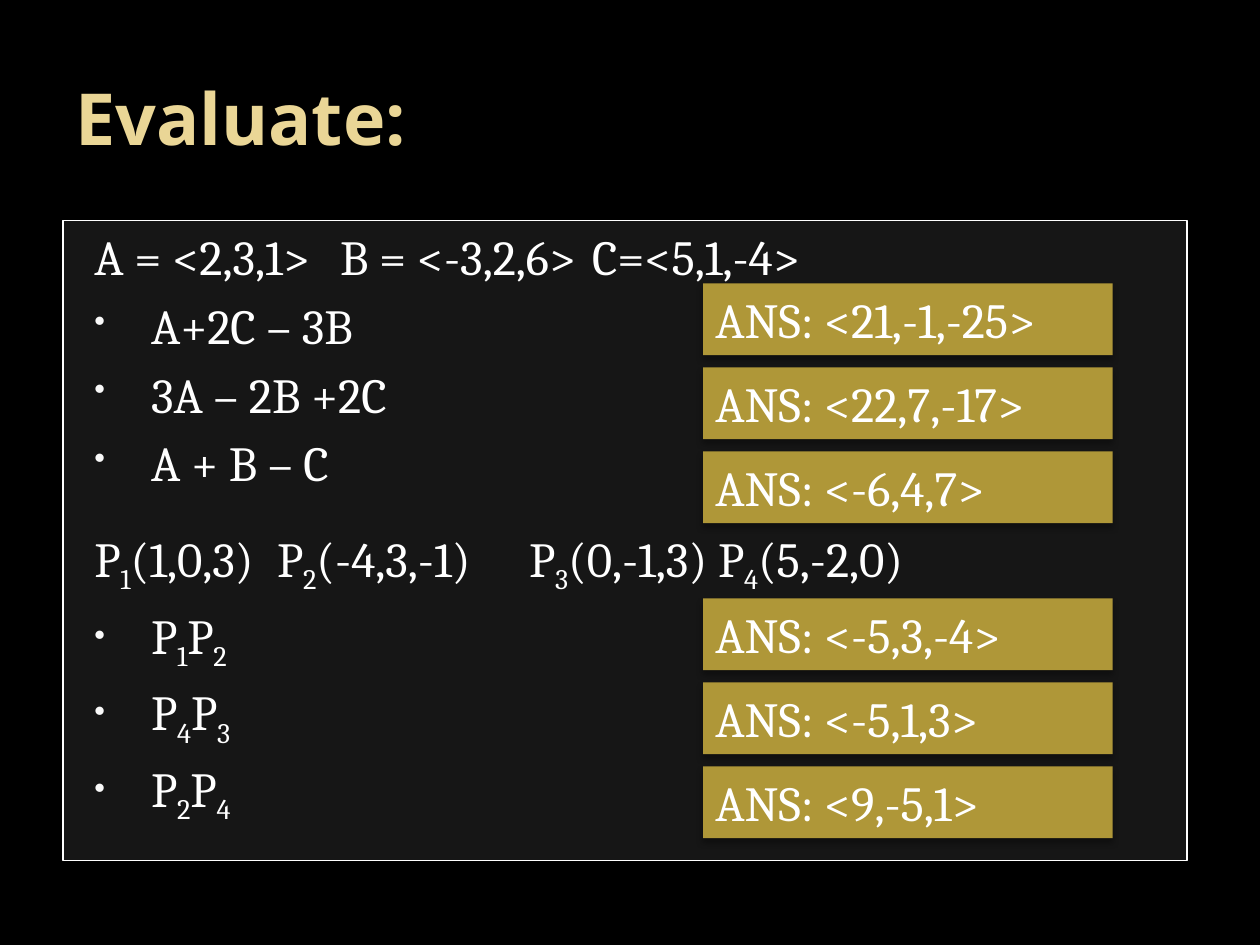
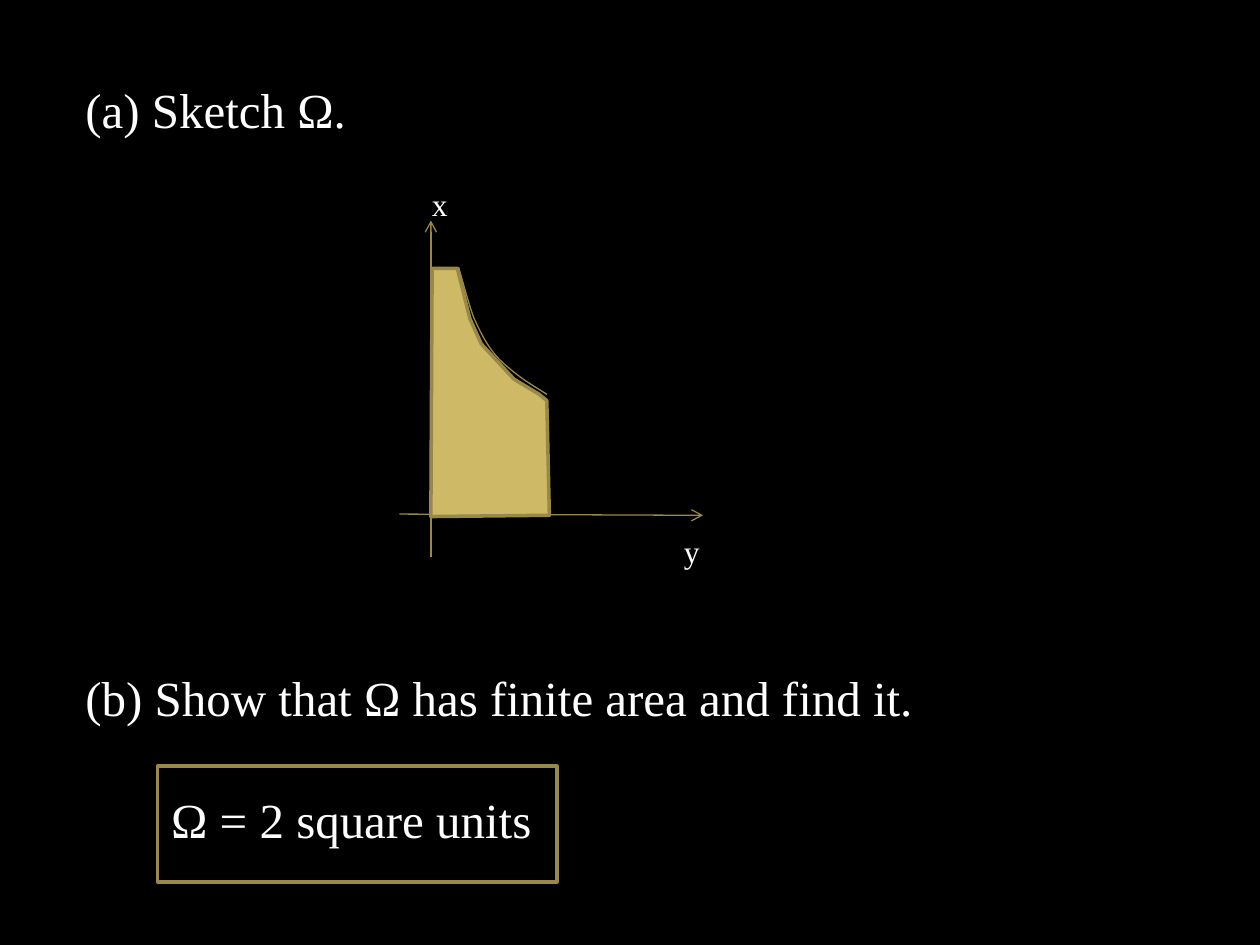
"""Build two dark slides on vector evaluation and the area of a region."""
import pptx
import pptx.dml.color
import pptx.enum.shapes
import pptx.enum.text
import pptx.oxml
import pptx.oxml.ns
import pptx.util
from pptx.util import Inches

BLACK, WHITE, GOLD, PANEL = "000000", "FFFFFF", "AF9738", "595959"
AXIS, OUTLINE, REGION = "998946", "98894B", "CEB966"
TITLE = {"name": "Open Sans", "size": 41, "bold": True, "color": "EAD696"}
BODY = {"name": "Cambria", "size": 28, "color": WHITE}
PROSE = {"name": "Times New Roman", "size": 28, "color": WHITE}
LABEL = PROSE | {"size": 18}

VECTOR_LINES = [
    {"text": "A = <2,3,1> \tB = <-3,2,6>\tC=<5,1,-4>", "before": 0},
    {"text": "A+2C – 3B", "bullet": True},
    {"text": "3A – 2B +2C", "bullet": True},
    {"text": "A + B – C", "bullet": True},
    {"text": "P_1(1,0,3)\tP_2(-4,3,-1)\tP_3(0,-1,3)\tP_4(5,-2,0)", "before": 21.1},
    {"text": "P_1P_2", "bullet": True},
    {"text": "P_4P_3", "bullet": True},
    {"text": "P_2P_4", "bullet": True},
]
ANSWER_GROUPS = [
    (2.25, ["<21,-1,-25>", "<22,7,-17>", "<-6,4,7>"]),
    (4.75, ["<-5,3,-4>", "<-5,1,3>", "<9,-5,1>"]),
]
ANSWER_PITCH = 2 / 3

SKETCH_TEXTS = [
    ((0.58, 0.58, 7.33, 0.57), [{"text": "(a) Sketch Ω."}], PROSE),
    ((3.33, 1.42, 0.33, 0.4), [{"text": "x"}], LABEL),
    ((5.33, 4.17, 0.42, 0.42), [{"text": "y"}], LABEL),
    ((0.58, 5.25, 8.42, 1.51), [
        {"text": "(b) Show that Ω has finite area and find it."},
        {"text": "Ω = 2 square units", "before": 35.8, "margin": 0.68},
    ], PROSE),
]
AXES = [((3.42, 4.42), (3.42, 1.75)), ((3.17, 4.08), (5.58, 4.09))]
CURVE_START = (3.64, 2.12)
CURVE_SEGMENTS = [
    ((3.68, 2.26), (3.72, 2.41), (3.76, 2.52)),
    ((3.81, 2.63), (3.85, 2.71), (3.91, 2.79)),
    ((3.97, 2.87), (4.06, 2.94), (4.14, 3)),
    ((4.21, 3.05), (4.28, 3.09), (4.34, 3.13)),
]
REGION_POINTS = [(3.43, 2.13), (3.63, 2.13), (3.73, 2.53), (3.82, 2.73), (4.08, 3.01),
                 (4.28, 3.13), (4.34, 3.18), (4.36, 4.09), (3.42, 4.1)]


def rgb(value):
    return pptx.dml.color.RGBColor.from_string(value)


def add_xml(parent, tag, **attributes):
    element = pptx.oxml.parse_xml(f'<a:{tag} {pptx.oxml.ns.nsdecls("a")}/>')
    for name, value in attributes.items():
        element.set(name, str(value))
    parent.append(element)
    return element


def format_run(run, style):
    values = style | {"size": pptx.util.Pt(style["size"])}
    run.font.color.rgb = rgb(values.pop("color"))
    for name, value in values.items():
        setattr(run.font, name, value)


def add_runs(paragraph, text, style):
    first, *marked = text.split("_")
    pieces = [(first, False)]
    for part in marked:
        pieces += [(part[0], True), (part[1:], False)]
    for piece, lowered in pieces:
        if piece:
            run = paragraph.add_run()
            run.text = piece
            format_run(run, style)
            if lowered:
                run._r.get_or_add_rPr().set("baseline", "-25000")


def write(shape, lines, style, anchor="TOP", grow=True, hanging=None):
    frame = shape.text_frame
    settings = {
        "word_wrap": True,
        "vertical_anchor": pptx.enum.text.MSO_ANCHOR[anchor],
        "auto_size": pptx.enum.text.MSO_AUTO_SIZE["SHAPE_TO_FIT_TEXT" if grow else "NONE"],
    }
    for name, value in settings.items():
        setattr(frame, name, value)
    for index, line in enumerate(lines):
        paragraph = frame.paragraphs[0] if index == 0 else frame.add_paragraph()
        paragraph.alignment = pptx.enum.text.PP_ALIGN.LEFT
        paragraph.space_before = pptx.util.Pt(line.get("before", 5.6 if hanging else 0))
        margin, indent = hanging or (line.get("margin", 0), 0)
        properties = paragraph._p.get_or_add_pPr()
        properties.set("marL", str(Inches(margin)))
        properties.set("indent", str(Inches(indent)))
        if line.get("bullet"):
            add_xml(add_xml(properties, "buClr"), "srgbClr", val="F9F9F9")
            add_xml(properties, "buSzPct", val=65000)
            add_xml(properties, "buChar", char="•")
        add_runs(paragraph, line["text"], style)


def paint(shape, fill=None, line=None, width=0.75):
    shape.shadow.inherit = False
    if fill:
        shape.fill.solid()
        shape.fill.fore_color.rgb = rgb(fill)
    else:
        shape.fill.background()
    if line:
        shape.line.color.rgb = rgb(line)
        shape.line.width = pptx.util.Pt(width)
    else:
        shape.line.fill.background()


def add_rectangle(slide, box, **look):
    kind = pptx.enum.shapes.MSO_SHAPE.RECTANGLE
    shape = slide.shapes.add_shape(kind, *map(Inches, box))
    paint(shape, **look)
    return shape


def add_text(slide, box, lines, style, **options):
    write(slide.shapes.add_textbox(*map(Inches, box)), lines, style, **options)


def add_outline(slide, points, closed, **look):
    start, *rest = [tuple(map(Inches, point)) for point in points]
    builder = slide.shapes.build_freeform(*start)
    builder.add_line_segments(rest, close=closed)
    paint(builder.convert_to_shape(), **look)


def add_axis(slide, start, end):
    kind = pptx.enum.shapes.MSO_CONNECTOR.STRAIGHT
    axis = slide.shapes.add_connector(kind, *map(Inches, start + end))
    axis.line.color.rgb = rgb(AXIS)
    axis.line.width = pptx.util.Pt(0.75)
    add_xml(axis.line._get_or_add_ln(), "tailEnd", type="arrow")
    add_xml(axis._element.spPr, "effectLst")


def sample_curve(start, segments, steps=8):
    points = [start]
    for first, second, end in segments:
        corners = (points[-1], first, second, end)
        for step in range(1, steps + 1):
            t = step / steps
            weights = ((1 - t) ** 3, 3 * t * (1 - t) ** 2, 3 * t ** 2 * (1 - t), t ** 3)
            points.append(tuple(sum(w * corner[axis] for w, corner in zip(weights, corners))
                                for axis in (0, 1)))
    return points


def add_answer(slide, top, answer):
    shape = add_rectangle(slide, (5.58, top, 3.25, 0.57), fill=GOLD)
    effects = shape._element.spPr.find(pptx.oxml.ns.qn("a:effectLst"))
    shadow = add_xml(effects, "outerShdw", blurRad=pptx.util.Pt(3.5),
                     dist=pptx.util.Pt(2.2), dir=5400000, rotWithShape=0)
    add_xml(add_xml(shadow, "srgbClr", val=BLACK), "alpha", val=32000)
    write(shape, [{"text": f"ANS: {answer}"}], BODY)


def add_slide(presentation):
    slide = presentation.slides.add_slide(presentation.slide_layouts[6])
    slide.background.fill.solid()
    slide.background.fill.fore_color.rgb = rgb(BLACK)
    return slide


def build_vectors(presentation):
    slide = add_slide(presentation)
    add_text(slide, (0.5, 0.3, 9, 1.25), [{"text": "Evaluate:"}], TITLE,
             anchor="MIDDLE", grow=False)
    panel = add_rectangle(slide, (0.5, 1.75, 8.92, 5.08), fill=PANEL, line=WHITE)
    solid = panel._element.spPr.find(pptx.oxml.ns.qn("a:solidFill"))
    add_xml(solid[0], "alpha", val=25000)
    write(panel, VECTOR_LINES, BODY, grow=False, hanging=(0.6, -0.45))
    for top, answers in ANSWER_GROUPS:
        for index, answer in enumerate(answers):
            add_answer(slide, top + index * ANSWER_PITCH, answer)


def build_sketch(presentation):
    slide = add_slide(presentation)
    for start, end in AXES:
        add_axis(slide, start, end)
    add_outline(slide, sample_curve(CURVE_START, CURVE_SEGMENTS), False, line=AXIS)
    add_outline(slide, REGION_POINTS, True, fill=REGION, line=OUTLINE, width=2)
    for box, lines, style in SKETCH_TEXTS:
        add_text(slide, box, lines, style)
    add_rectangle(slide, (1.25, 6.08, 3.17, 0.92), line=OUTLINE, width=2)


def main():
    presentation = pptx.Presentation()
    presentation.slide_width, presentation.slide_height = Inches(10), Inches(7.5)
    build_vectors(presentation)
    build_sketch(presentation)
    presentation.save("out.pptx")


if __name__ == "__main__":
    main()
